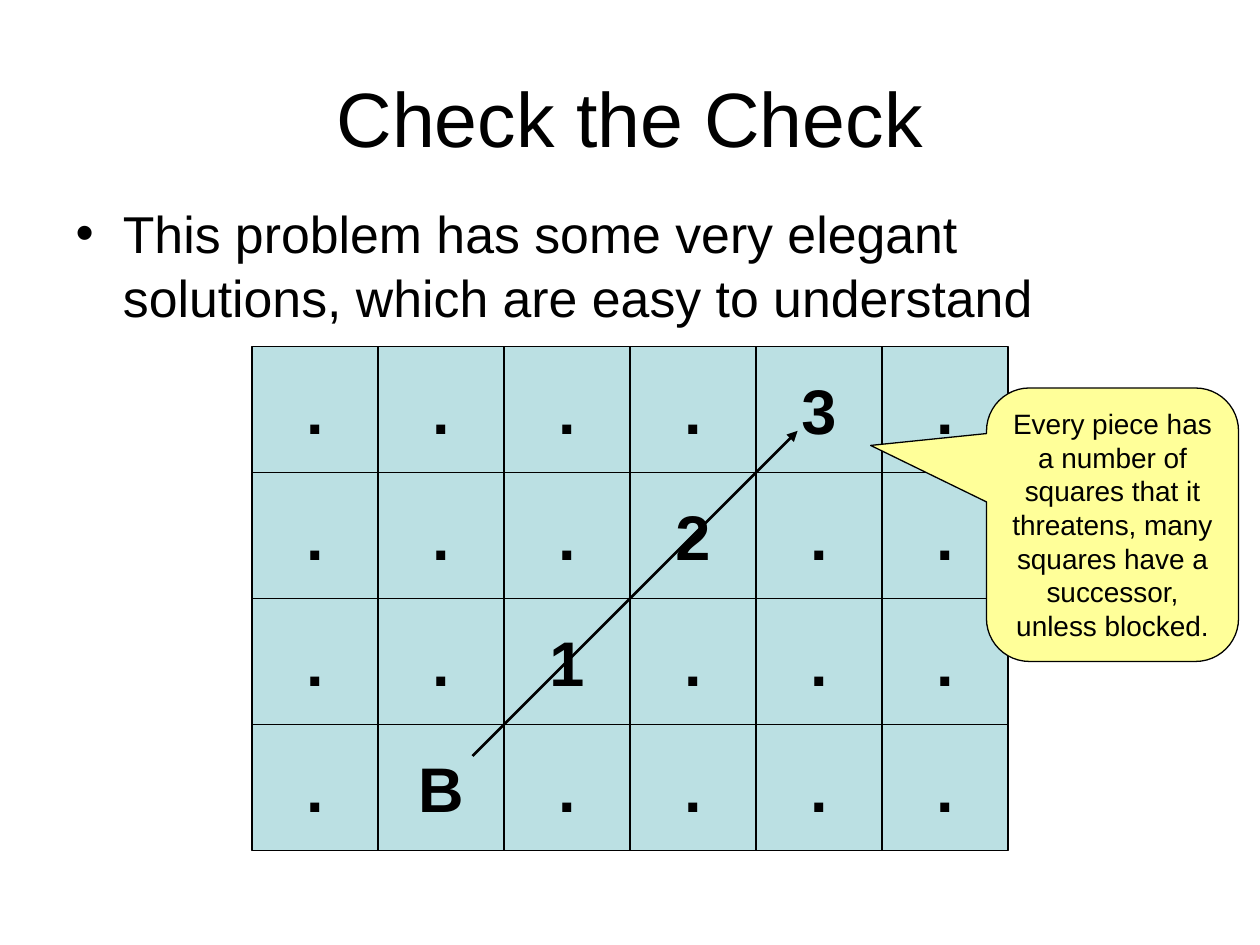
"""Build a slide on the squares a bishop threatens."""
import pptx
import pptx.dml.color
import pptx.enum.shapes
import pptx.enum.text
import pptx.oxml
import pptx.oxml.ns
import pptx.util
from pptx.util import Inches

TITLE = "Check the Check"
BODY = "This problem has some very elegant solutions, which are easy to understand"
NOTE = ("Every piece has a number of squares that it threatens, "
        "many squares have a successor, unless blocked.")
BOARD = ["....3.", "...2..", "..1...", ".B...."]
LEFT, TOP, SIDE = 2, 2.75, 1
COLORS = {"ink": "000000", "cell": "BBE0E3", "note": "FFFF99"}
SHAPE = pptx.enum.shapes.MSO_SHAPE
ANCHOR = pptx.enum.text.MSO_ANCHOR
ALIGN = pptx.enum.text.PP_ALIGN


def color(name):
    return pptx.dml.color.RGBColor.from_string(COLORS[name])


def write(frame, text, size, align, bold=False):
    frame.text = text
    para = frame.paragraphs[0]
    para.alignment = align
    para.space_before = pptx.util.Pt(0)
    font = para.runs[0].font
    font.name, font.size, font.bold = "Arial", pptx.util.Pt(size), bold
    font.color.rgb = color("ink")
    return para


def place(shape, left, top, width, height):
    shape.left, shape.top = Inches(left), Inches(top)
    shape.width, shape.height = Inches(width), Inches(height)


def draw(shapes, kind, box, fill):
    shape = shapes.add_shape(kind, *map(Inches, box))
    shape.shadow.inherit = False
    shape.fill.solid()
    shape.fill.fore_color.rgb = color(fill)
    shape.line.color.rgb = color("ink")
    shape.line.width = pptx.util.Pt(0.75)
    return shape


def add_text(slide):
    title, body = slide.placeholders
    place(title, 0.5, 0.3, 9, 1.25)
    write(title.text_frame, TITLE, 44, ALIGN.CENTER)
    title.text_frame.vertical_anchor = ANCHOR.MIDDLE
    place(body, 0.5, 1.5, 9, 1.17)
    para = write(body.text_frame, BODY, 29.6, ALIGN.LEFT)
    para.line_spacing = 1.04
    body.text_frame.margin_top = Inches(0.08)
    for frame in (title.text_frame, body.text_frame):
        frame.auto_size = pptx.enum.text.MSO_AUTO_SIZE.NONE


def add_board(slide):
    group = slide.shapes.add_group_shape()
    for row, marks in enumerate(BOARD):
        for col, mark in enumerate(marks):
            box = (LEFT + col * SIDE, TOP + row * SIDE, SIDE, SIDE)
            cell = draw(group.shapes, SHAPE.RECTANGLE, box, "cell")
            cell.text_frame.word_wrap = False
            cell.text_frame.vertical_anchor = ANCHOR.MIDDLE
            write(cell.text_frame, mark, 36, ALIGN.CENTER, True)


def add_arrow(slide):
    kind = pptx.enum.shapes.MSO_CONNECTOR.STRAIGHT
    ends = map(Inches, (3.75, 6, 6.33, 3.42))
    arrow = slide.shapes.add_connector(kind, *ends)
    arrow.line.color.rgb = color("ink")
    arrow.line.width = pptx.util.Pt(1.5)
    space = pptx.oxml.ns.nsdecls("a")
    head = pptx.oxml.parse_xml(f'<a:tailEnd {space} type="triangle"/>')
    arrow.line._get_or_add_ln().append(head)
    props = arrow._element.spPr
    props.append(pptx.oxml.parse_xml(f"<a:effectLst {space}/>"))


def add_note(slide):
    box = (7.83, 3.08, 2, 2.17)
    note = draw(slide.shapes, SHAPE.ROUNDED_RECTANGULAR_CALLOUT, box, "note")
    for spot, value in enumerate((-0.96, -0.29, 0.17)):
        note.adjustments[spot] = value
    note.text_frame.word_wrap = True
    note.text_frame.vertical_anchor = ANCHOR.TOP
    write(note.text_frame, NOTE, 16, ALIGN.CENTER)


def main():
    deck = pptx.Presentation()
    deck.slide_width, deck.slide_height = Inches(10), Inches(7.5)
    slide = deck.slides.add_slide(deck.slide_layouts[1])
    for add in (add_text, add_board, add_arrow, add_note):
        add(slide)
    deck.save("out.pptx")


if __name__ == "__main__":
    main()
